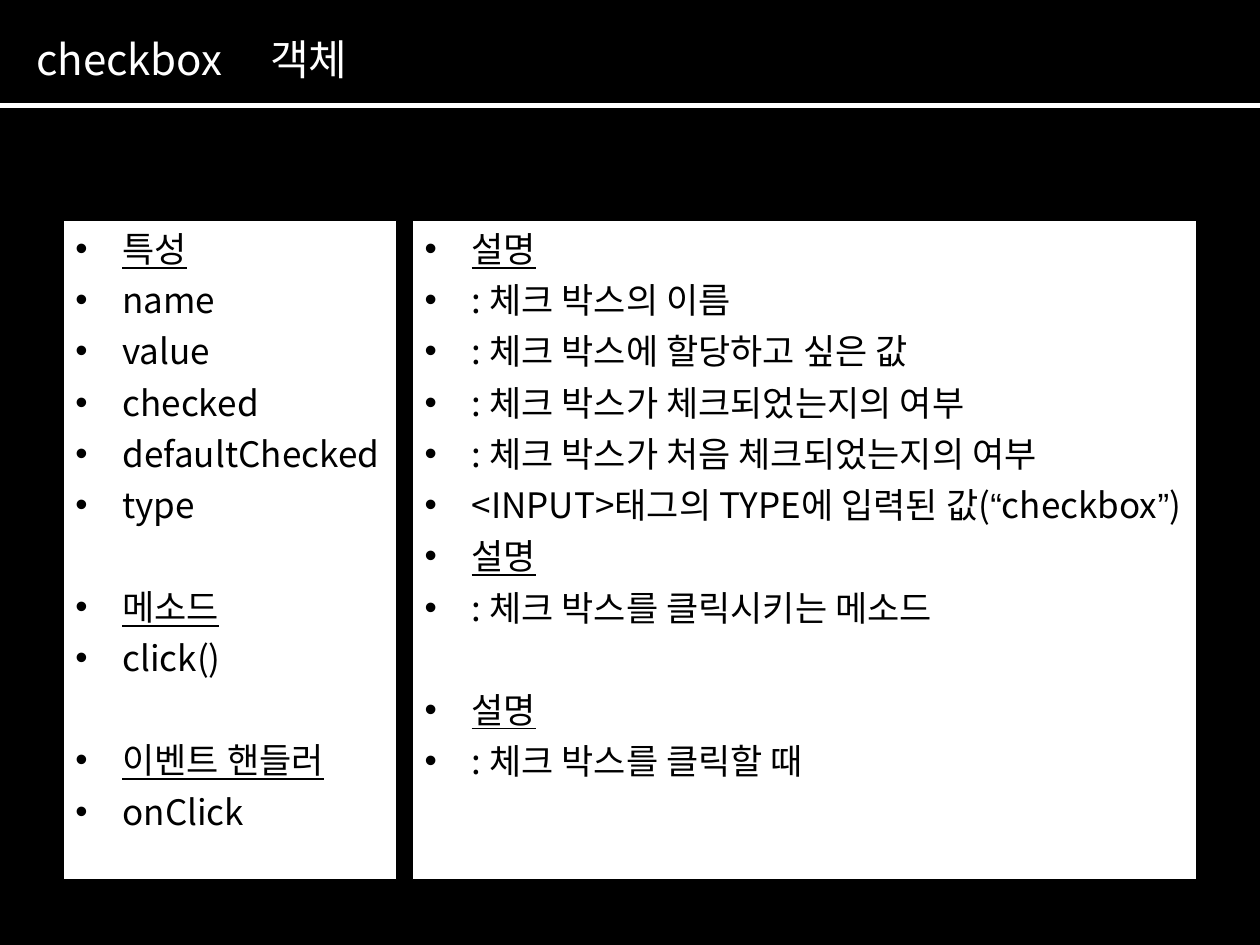
from pptx import Presentation
from pptx import util as u
from pptx.dml.color import RGBColor
from pptx.enum import shapes, text
from pptx.oxml import ns
from lxml import etree

BLACK = RGBColor(0, 0, 0)
WHITE = RGBColor(255, 255, 255)

PROPERTIES = ["특성", "name", "value", "checked", "defaultChecked", "type"]
METHODS = ["메소드", "click()"]
EVENTS = ["이벤트 핸들러", "onClick"]
PROPERTY_NOTES = [
    "설명",
    ": 체크 박스의 이름",
    ": 체크 박스에 할당하고 싶은 값",
    ": 체크 박스가 체크되었는지의 여부",
    ": 체크 박스가 처음 체크되었는지의 여부",
    "<INPUT>태그의 TYPE에 입력된 값(“checkbox”)",
]
METHOD_NOTES = ["설명", ": 체크 박스를 클릭시키는 메소드"]
EVENT_NOTES = ["설명", ": 체크 박스를 클릭할 때"]


def add_child(parent, tag, **attributes):
    return etree.SubElement(parent, ns.qn(tag), attributes)


def write_span(para, words, font="Noto Sans CJK KR", size=20, color=BLACK, underline=False):
    span = para.add_run()
    span.text = words
    span.font.size = u.Pt(size)
    span.font.name = font
    span.font.color.rgb = color
    span.font.underline = underline
    add_child(span._r.get_or_add_rPr(), "a:ea", typeface=font)


class SlideBuilder:
    line_height = u.Pt(24.3)
    row_gap = 5
    section_gap = 34
    indent = u.Cm(0.95)

    def __init__(self, deck):
        self.page = deck.slides.add_slide(deck.slide_layouts[6])
        fill = self.page.background.fill
        fill.solid()
        fill.fore_color.rgb = BLACK

    def rule(self, top, width):
        line = self.page.shapes.add_connector(
            shapes.MSO_CONNECTOR.STRAIGHT, 0, u.Cm(top), u.Cm(width), u.Cm(top))
        line.line.color.rgb = WHITE
        line.line.width = u.Pt(3)
        add_child(line._element.spPr, "a:effectLst")

    def title(self, words, left, top, width, height, tab):
        box = self.page.shapes.add_textbox(u.Cm(left), u.Cm(top), u.Cm(width), u.Cm(height))
        box.text_frame.word_wrap = True
        para = box.text_frame.paragraphs[0]
        para.line_spacing = u.Pt(29.2)
        tabs = add_child(para._p.get_or_add_pPr(), "a:tabLst")
        add_child(tabs, "a:tab", pos=str(u.Cm(tab)), algn="l")
        write_span(para, words, size=24, color=WHITE)

    def panel(self, sections, left, top, width, height):
        box = self.page.shapes.add_shape(
            shapes.MSO_SHAPE.RECTANGLE, u.Cm(left), u.Cm(top), u.Cm(width), u.Cm(height))
        box.shadow.inherit = False
        box.fill.solid()
        box.fill.fore_color.rgb = WHITE
        box.line.color.rgb = BLACK
        box.line.width = u.Pt(0.75)
        frame = box.text_frame
        frame.word_wrap = True
        frame.vertical_anchor = text.MSO_ANCHOR.TOP
        for number, (gap, rows) in enumerate(sections):
            for row, words in enumerate(rows):
                first = number == row == 0
                para = frame.paragraphs[0] if first else frame.add_paragraph()
                space = 0 if first else self.row_gap if row else gap
                self.bullet(para, words, space, underline=row == 0)

    def bullet(self, para, words, space, underline):
        para.alignment = text.PP_ALIGN.LEFT
        para.line_spacing = self.line_height
        para.space_before = u.Pt(space)
        props = para._p.get_or_add_pPr()
        props.set("marL", str(self.indent))
        props.set("indent", str(-self.indent))
        color = add_child(props, "a:buClr")
        add_child(color, "a:srgbClr", val=str(BLACK))
        add_child(props, "a:buFont", typeface="Arial")
        add_child(props, "a:buChar", char="•")
        for part in words.replace("“", "|“|").replace("”", "|”|").split("|"):
            font = "Arial" if part in ("“", "”") else "Noto Sans CJK KR"
            write_span(para, part, font=font, underline=underline)


def main():
    deck = Presentation()
    deck.slide_width, deck.slide_height = u.Cm(25.4), u.Cm(19.05)
    slide = SlideBuilder(deck)
    slide.title("checkbox\t객체", 0.48, 0.53, 19.4, 1.27, tab=4.72)
    slide.rule(2.13, 25.4)
    row, section = slide.row_gap, slide.section_gap
    top, height = 4.45, 13.28
    slide.panel([(0, PROPERTIES), (section, METHODS), (section, EVENTS)],
                1.27, top, 6.73, height)
    slide.panel([(0, PROPERTY_NOTES), (row, METHOD_NOTES), (section, EVENT_NOTES)],
                8.31, top, 15.82, height)
    deck.save("out.pptx")


if __name__ == "__main__":
    main()
